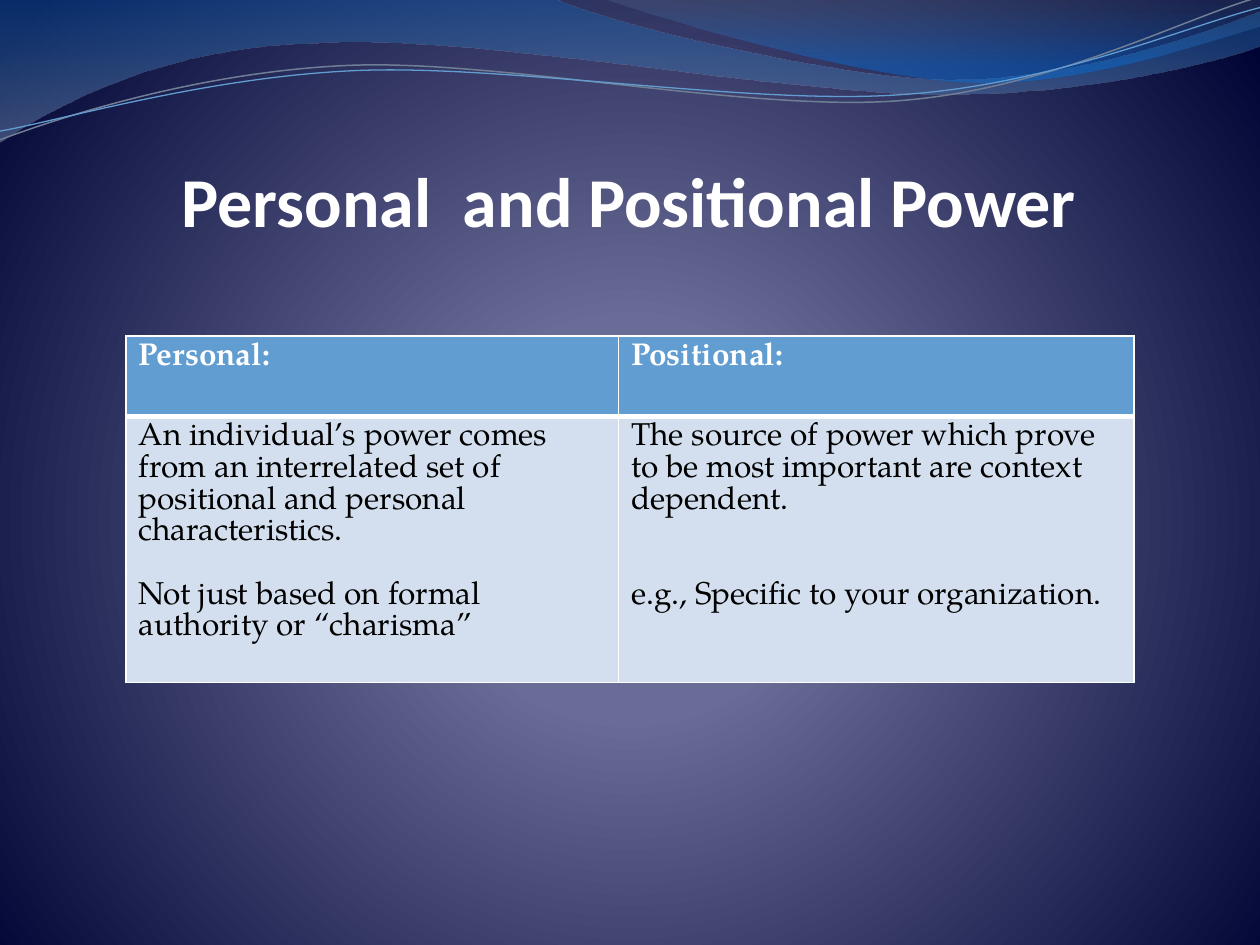
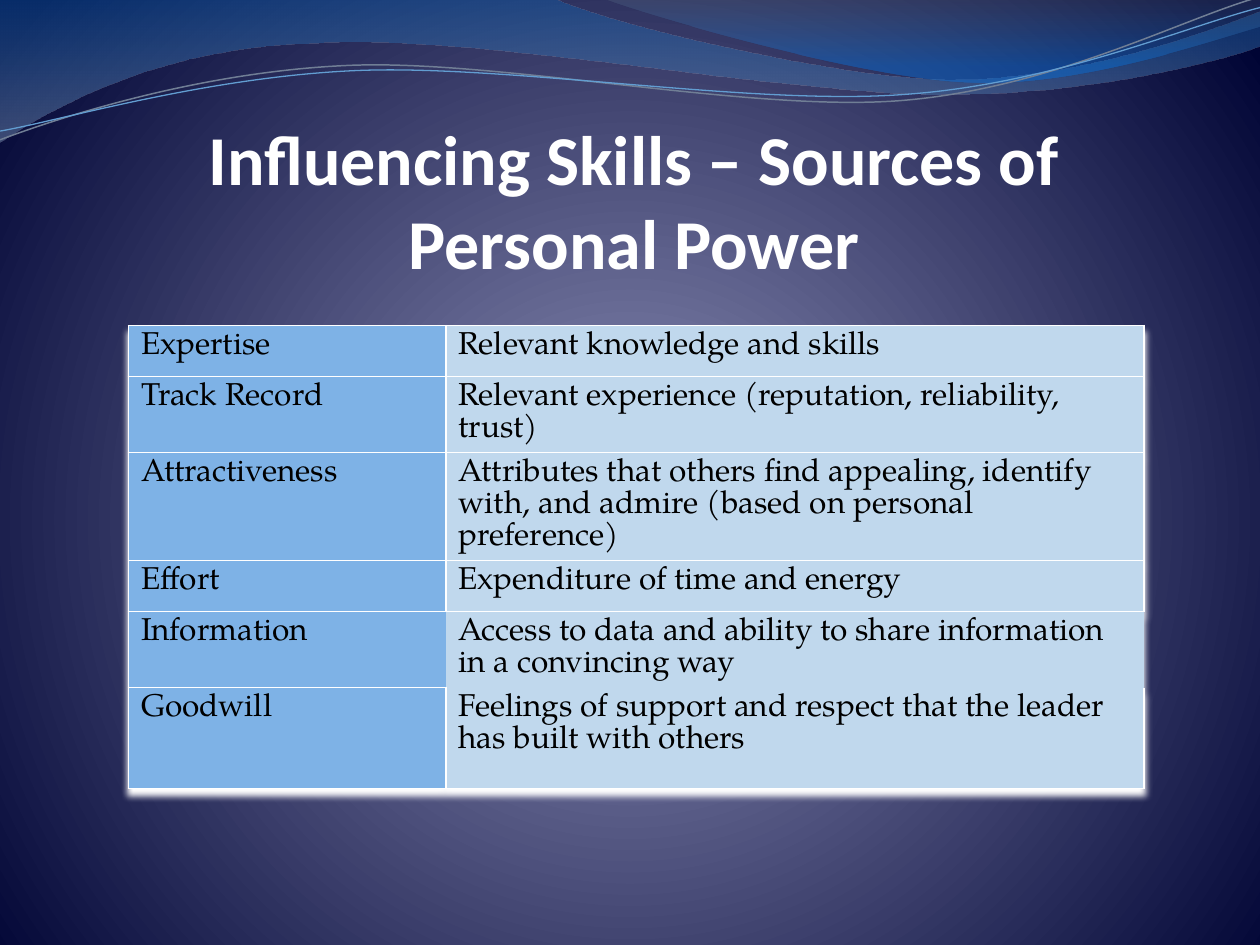
"""Build two slides on personal and positional power with a shared wave header."""
from dataclasses import dataclass

from lxml import etree
from pptx import Presentation
from pptx import util as u
from pptx.dml.color import RGBColor
from pptx.enum import text
from pptx.oxml.ns import qn

COLORS = {
    "white": "FFFFFF", "black": "000000",
    "glow": "6E71A1", "haze": "696C96", "night": "000434",
    "band_top": "125EAA", "band_base": "697FA4",
    "crest_top": "596982", "crest_base": "0670DA",
    "gray_line": "707E95", "accent": "629DD1",
    "pale": "D3DFEE", "label": "7EB2E6", "detail": "C0D8ED",
}
TITLE_FONT, TABLE_FONT = "Calibri", "TeX Gyre Pagella"
TEXT_LINE = 18.1
NO_STYLE = "{2D5ABB26-0587-4C30-8999-92F81FD0307C}"


@dataclass(frozen=True)
class Stop:
    position: int
    color: str
    opacity: int = 100


@dataclass(frozen=True)
class Wave:
    """Steps of two numbers are lines; steps of six are Bezier curves."""
    start: tuple[float, float]
    steps: tuple[tuple[float, ...], ...]
    stops: tuple[Stop, ...] = ()
    color: str = ""
    width: float = 0


@dataclass(frozen=True)
class Entry:
    paragraphs: tuple[str, ...]
    fill: str
    borders: dict[str, float]
    color: str = "black"
    bold: bool = False
    gap_lines: int = 0


@dataclass(frozen=True)
class Grid:
    left: float
    top: float
    columns: tuple[float, ...]
    heights: tuple[float, ...]
    rows: list[list[Entry]]
    shadow: bool = False


BACKDROP = (Stop(0, "glow"), Stop(25, "haze"), Stop(100, "night"))
WAVES = (
    Wave((0, 0), (
        (316.8, -0.7), (342.7, 12.2, 478.1, 45.4, 545.8, 45.4),
        (614.2, 45.4, 689.8, 18.7, 720, 6.5), (720.7, 25.9),
        (707.8, 31.7, 626.4, 54.7, 537.1, 54),
        (447.8, 54, 275, 20.2, 185, 24.5),
        (92.9, 25.9, 33.1, 59.8, -0.7, 81.4)),
        stops=(Stop(0, "band_top", 45), Stop(100, "band_base", 55))),
    Wave((344.9, -0.7), (
        (366.5, 7.9, 491, 44.6, 553.7, 46.8),
        (616.3, 49.7, 691.9, 23, 720, 15.1), (720, 0)),
        stops=(Stop(0, "crest_top", 30), Stop(80, "crest_base", 45))),
    Wave((0, 79.9), (
        (34.6, 67, 113.8, 41, 199.4, 37.4),
        (284.4, 33.8, 427, 64.1, 513.4, 57.6),
        (599.8, 51.1, 675.4, 10.8, 718.6, -1.4)),
        color="gray_line", width=0.85),
    Wave((0, 74.9), (
        (33.8, 69.1, 118.1, 43.9, 203.8, 40.3),
        (290.2, 36.7, 429.8, 60.5, 516.2, 54),
        (601.9, 48.2, 677.5, 15.1, 720, 4.3)),
        color="accent", width=0.75),
)


def rgb(name: str) -> RGBColor:
    """Look up a named colour."""
    return RGBColor.from_string(COLORS[name])


def add_element(parent, tag: str, **attributes):
    """Append a DrawingML child element."""
    return etree.SubElement(parent, qn(tag), {k: str(v) for k, v in attributes.items()})


def set_gradient(fill, holder, stops: tuple[Stop, ...], circular: bool = False) -> None:
    """Replace a solid fill by a vertical or circular gradient."""
    fill.solid()
    solid = holder.find(qn("a:solidFill"))
    gradient = etree.Element(qn("a:gradFill"), rotWithShape="1")
    stop_list = add_element(gradient, "a:gsLst")
    for stop in stops:
        mark = add_element(stop_list, "a:gs", pos=stop.position * 1000)
        color = add_element(mark, "a:srgbClr", val=COLORS[stop.color])
        if stop.opacity < 100:
            add_element(color, "a:alpha", val=stop.opacity * 1000)
    if circular:
        circle = add_element(gradient, "a:path", path="circle")
        add_element(circle, "a:fillToRect", l=10000, t=110000, r=10000, b=100000)
    else:
        add_element(gradient, "a:lin", ang=5400000, scaled=1)
    holder.replace(solid, gradient)


def bend(shape, wave: Wave) -> None:
    """Turn the straight segments of a freeform into the curves of a wave."""
    segments = list(shape._element.iter(qn("a:lnTo")))
    for segment, step in zip(segments, wave.steps):
        if len(step) == 6:
            curve = etree.Element(qn("a:cubicBezTo"))
            for x, y in zip(step[::2], step[1::2]):
                add_element(curve, "a:pt", x=u.Pt(x) - shape.left, y=u.Pt(y) - shape.top)
            segment.getparent().replace(segment, curve)


def draw_wave(page, wave: Wave) -> None:
    """Draw a filled band or a thin open line."""
    builder = page.shapes.build_freeform(*map(u.Pt, wave.start))
    ends = [tuple(map(u.Pt, step[-2:])) for step in wave.steps]
    builder.add_line_segments(ends, close=bool(wave.stops))
    shape = builder.convert_to_shape()
    bend(shape, wave)
    shape.shadow.inherit = False
    if wave.stops:
        set_gradient(shape.fill, shape._element.spPr, wave.stops)
        shape.line.fill.background()
    else:
        shape.fill.background()
        shape.line.color.rgb = rgb(wave.color)
        shape.line.width = u.Pt(wave.width)


def set_font(para, name: str, size: float, color: str, bold: bool) -> None:
    """Set the font of a whole paragraph."""
    para.font.name = name
    para.font.size = u.Pt(size)
    para.font.bold = bold
    para.font.color.rgb = rgb(color)


def add_page(deck, title: str, frame: tuple[float, float, float, float]):
    """Add a page with the shared backdrop, waves and title style."""
    page = deck.slides.add_slide(deck.slide_layouts[6])
    fill = page.background.fill
    fill.solid()
    set_gradient(fill, page._element.find(".//" + qn("p:bgPr")), BACKDROP, circular=True)
    for wave in WAVES:
        draw_wave(page, wave)
    box = page.shapes.add_textbox(*map(u.Pt, frame)).text_frame
    box.word_wrap = True
    box.vertical_anchor = text.MSO_ANCHOR.BOTTOM
    box.margin_left = box.margin_top = box.margin_bottom = 0
    box.margin_right = u.Pt(1.44)
    para = box.paragraphs[0]
    para.text = title
    para.alignment = text.PP_ALIGN.CENTER
    set_font(para, TITLE_FONT, 40, "white", True)
    return page


def fill_cell(cell, entry: Entry) -> None:
    """Write the text, borders and fill of one cell."""
    properties = cell._tc.get_or_add_tcPr()
    for edge in "LRTB":
        if edge in entry.borders:
            line = add_element(properties, f"a:ln{edge}", w=u.Pt(entry.borders[edge]))
            solid = add_element(line, "a:solidFill")
            add_element(solid, "a:srgbClr", val=COLORS["white"])
    cell.fill.solid()
    cell.fill.fore_color.rgb = rgb(entry.fill)
    box = cell.text_frame
    for i, words in enumerate(entry.paragraphs):
        para = box.add_paragraph() if i else box.paragraphs[0]
        para.text = words
        para.line_spacing = u.Pt(TEXT_LINE)
        if i:
            para.space_before = u.Pt(entry.gap_lines * TEXT_LINE)
        set_font(para, TABLE_FONT, 18, entry.color, entry.bold)


def add_grid(page, grid: Grid) -> None:
    """Add a table with explicit fills and borders."""
    frame = page.shapes.add_table(
        len(grid.rows), len(grid.columns), u.Pt(grid.left), u.Pt(grid.top),
        u.Pt(sum(grid.columns)), u.Pt(sum(grid.heights)))
    table = frame.table
    table.first_row = table.horz_banding = False
    properties = table._tbl.tblPr
    properties.find(qn("a:tableStyleId")).text = NO_STYLE
    if grid.shadow:
        effects = etree.Element(qn("a:effectLst"))
        shadow = add_element(effects, "a:outerShdw", blurRad=u.Pt(4), dist=u.Pt(4),
                             dir=5400000, rotWithShape=0)
        add_element(shadow, "a:srgbClr", val=COLORS["white"])
        properties.insert(0, effects)
    for column, width in zip(table.columns, grid.columns):
        column.width = u.Pt(width)
    for r, (height, entries) in enumerate(zip(grid.heights, grid.rows)):
        table.rows[r].height = u.Pt(height)
        for c, entry in enumerate(entries):
            fill_cell(table.cell(r, c), entry)


def edges(names: str = "LRTB") -> dict[str, float]:
    """Give each named edge a one-point border."""
    return dict.fromkeys(names, 1)


def power_types() -> Grid:
    """Describe the comparison of the two kinds of power."""
    header = [Entry((words,), "accent", edges() | {"B": 3}, "white", True)
              for words in ("Personal:", "Positional:")]
    body = [
        Entry(paragraphs, "pale", edges() | {"T": 3}, gap_lines=gap)
        for gap, paragraphs in (
            (1, ("An individual’s power comes from an interrelated set of "
                 "positional and personal characteristics.",
                 "Not just based on formal authority or “charisma”")),
            (2, ("The source of power which prove to be most important are "
                 "context dependent.",
                 "e.g., Specific to your organization.")))]
    return Grid(72, 192, (281.5, 294.5), (46, 152), [header, body])


def power_sources() -> Grid:
    """Describe the list of sources of personal power."""
    sources = (
        ("Expertise", "Relevant knowledge and skills"),
        ("Track Record", "Relevant experience (reputation, reliability, trust)"),
        ("Attractiveness", "Attributes that others find appealing, identify with, "
                           "and admire (based on personal preference)"),
        ("Effort", "Expenditure of time and energy"),
        ("Information", "Access to data and ability to share information in a "
                        "convincing way"),
        ("Goodwill", "Feelings of support and respect that the leader has built "
                     "with others"),
    )
    label_edges = {"Information": "LTB"}
    detail_edges = {"Effort": "LRT", "Information": "", "Goodwill": "LRB"}
    rows = [[Entry((name,), "label", edges(label_edges.get(name, "LRTB"))),
             Entry((detail,), "detail", edges(detail_edges.get(name, "LRTB")))]
            for name, detail in sources]
    heights = (29.2,) * (len(sources) - 1) + (57.6,)
    return Grid(73.4, 186, (181.4, 398.9), heights, rows, shadow=True)


def main() -> None:
    """Build and save the deck."""
    deck = Presentation()
    deck.slide_width, deck.slide_height = u.Pt(720), u.Pt(540)
    page = add_page(deck, "Personal  and Positional Power", (72, 84.2, 576, 54))
    add_grid(page, power_types())
    page = add_page(deck, "Influencing Skills – Sources of Personal Power",
                    (72, 90, 581.8, 72))
    add_grid(page, power_sources())
    deck.save("out.pptx")


if __name__ == "__main__":
    main()
